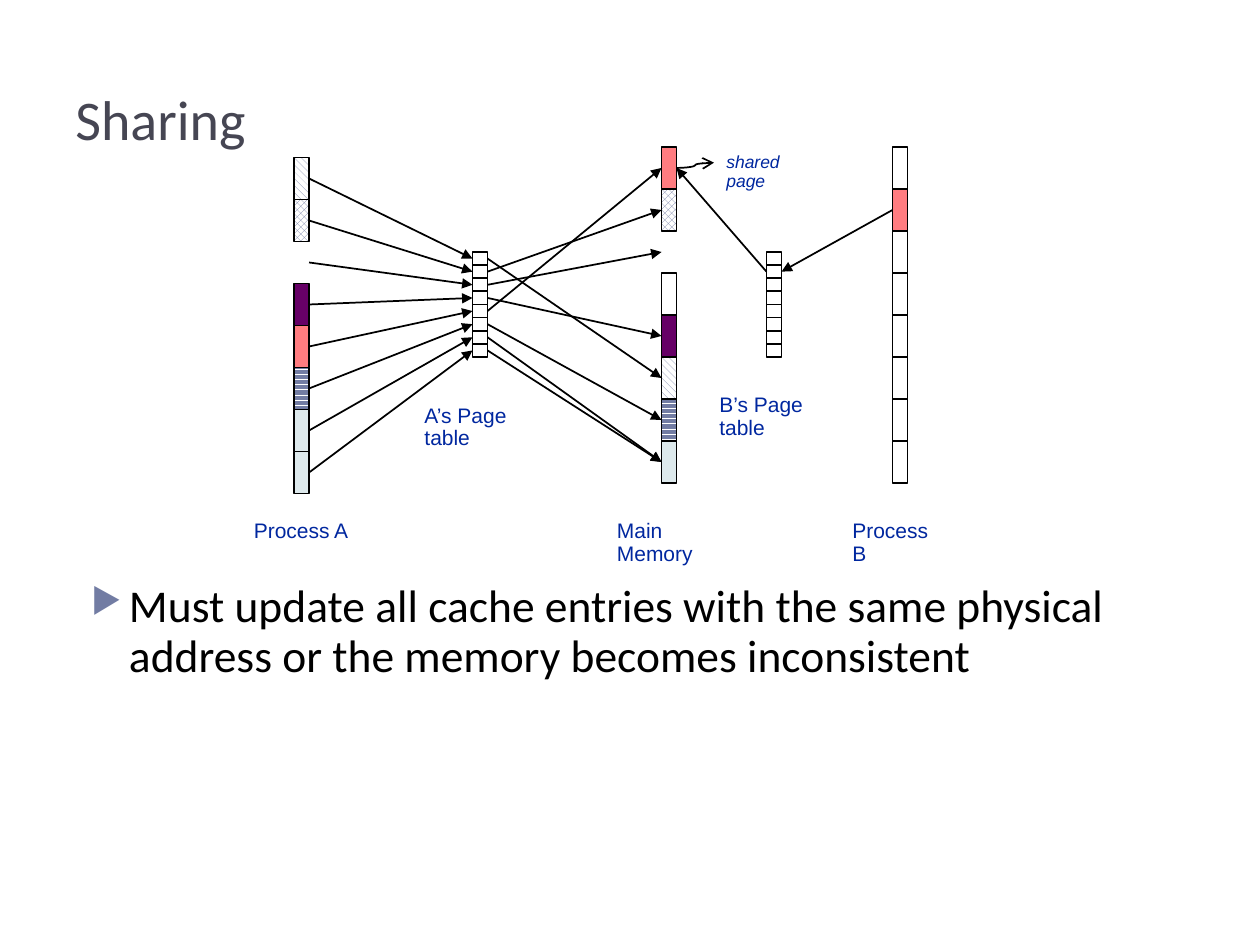
import pptx
import pptx.util
import pptx.dml.color
import pptx.enum.dml
import pptx.enum.shapes
import pptx.enum.text
import pptx.oxml
import pptx.oxml.ns

Pt = pptx.util.Pt
RGBColor = pptx.dml.color.RGBColor
PATTERN = pptx.enum.dml.MSO_PATTERN
CONNECTOR = pptx.enum.shapes.MSO_CONNECTOR
ANCHOR = pptx.enum.text.MSO_ANCHOR

BLACK = RGBColor(0x00, 0x00, 0x00)
WHITE = RGBColor(0xFF, 0xFF, 0xFF)
SLATE = RGBColor(0x46, 0x46, 0x53)
STEEL = RGBColor(0x72, 0x7C, 0xA3)
PURPLE = RGBColor(0x66, 0x00, 0x66)
CORAL = RGBColor(0xFF, 0x7C, 0x80)
MIST = RGBColor(0xDD, 0xE9, 0xEC)
NAVY = RGBColor(0x00, 0x27, 0x9F)

STRIPES = PATTERN.WIDE_DOWNWARD_DIAGONAL
DIAMONDS = PATTERN.SOLID_DIAMOND
BARS = PATTERN.DARK_HORIZONTAL

SLOT_WIDTH = 8.6
PAGE_HEIGHT = 24
ENTRY_HEIGHT = 7.5
PROCESS_A = [STRIPES, DIAMONDS, None, PURPLE, CORAL, BARS, MIST, MIST]
MEMORY = [CORAL, DIAMONDS, None, WHITE, PURPLE, STRIPES, BARS, MIST]
PROCESS_B = [WHITE, CORAL] + [WHITE] * 6
PAGE_TABLE = [WHITE] * 8
FRAME_OF_ENTRY = [5, 1, 2, 4, 0, 6, 7, 7]

TITLE_FORMAT = {"name": "Calibri", "size": Pt(32)}
BODY_FORMAT = {"name": "Calibri", "size": Pt(26)}
LABEL_FORMAT = {"name": "Arial", "size": Pt(12)}
NOTE_FORMAT = {"name": "Arial", "size": Pt(10), "italic": True}


def add_text(page, box, text, font_format, color, anchor=ANCHOR.TOP, spacing=None, bullet=None):
    frame = page.shapes.add_textbox(*map(Pt, box)).text_frame
    frame.word_wrap = True
    frame.vertical_anchor = anchor
    para = frame.paragraphs[0]
    para.line_spacing = spacing
    if bullet:
        add_bullet(para, bullet)
    span = para.add_run()
    span.text = text
    for key, value in font_format.items():
        setattr(span.font, key, value)
    span.font.color.rgb = color


def add_bullet(para, symbol):
    props = para._p.get_or_add_pPr()
    indent = Pt(21.6)
    props.set("marL", str(indent))
    props.set("indent", str(-indent))
    color = pptx.oxml.ns.nsdecls("a")
    for xml in (
        f'<a:buClr {color}><a:srgbClr val="{STEEL}"/></a:buClr>',
        f'<a:buSzPct {color} val="76000"/>',
        f'<a:buChar {color} char="{symbol}"/>',
    ):
        props.append(pptx.oxml.parse_xml(xml))


def add_column(shapes, left, top, height, fills):
    for index, paint in enumerate(fills):
        if paint is None:
            continue
        slot = shapes.add_shape(
            pptx.enum.shapes.MSO_SHAPE.RECTANGLE,
            Pt(left), Pt(top + index * height), Pt(SLOT_WIDTH), Pt(height),
        )
        slot.shadow.inherit = False
        if isinstance(paint, RGBColor):
            slot.fill.solid()
            slot.fill.fore_color.rgb = paint
        else:
            slot.fill.patterned()
            slot.fill.pattern = paint
            slot.fill.fore_color.rgb = STEEL
            slot.fill.back_color.rgb = WHITE
        slot.line.color.rgb = BLACK
        slot.line.width = Pt(1)
    return [top + (index + 0.5) * height for index in range(len(fills))]


def add_arrow(page, start, end, kind=CONNECTOR.STRAIGHT, head="triangle"):
    arrow = page.shapes.add_connector(kind, *map(Pt, (*start, *end)))
    arrow.line.color.rgb = BLACK
    arrow.line.width = Pt(1)
    names = pptx.oxml.ns.nsdecls("a")
    arrow.line._get_or_add_ln().append(
        pptx.oxml.parse_xml(f'<a:tailEnd {names} type="{head}"/>'))
    arrow._element.spPr.append(pptx.oxml.parse_xml(f"<a:effectLst {names}/>"))


def add_diagram(page, left, top):
    process_a, table_a, memory, table_b, process_b = (
        left + offset for offset in (0, 102, 210, 270, 342))
    pages_a = add_column(page.shapes, process_a, top + 6, PAGE_HEIGHT, PROCESS_A)
    frames = add_column(page.shapes, memory, top, PAGE_HEIGHT, MEMORY)
    pages_b = add_column(page.shapes, process_b, top, PAGE_HEIGHT, PROCESS_B)
    entries, _ = (
        add_column(page.shapes.add_group_shape().shapes, side, top + 60, ENTRY_HEIGHT, PAGE_TABLE)
        for side in (table_a, table_b))

    for source, entry, frame in zip(pages_a, entries, FRAME_OF_ENTRY):
        add_arrow(page, (process_a + SLOT_WIDTH, source), (table_a, entry))
        add_arrow(page, (table_a + SLOT_WIDTH, entry), (memory, frames[frame]))
    shared = (memory + SLOT_WIDTH, frames[0])
    add_arrow(page, (process_b, pages_b[1]), (table_b + SLOT_WIDTH, entries[1]))
    add_arrow(page, (table_b, entries[1]), shared)
    add_arrow(page, shared, (left + 240, top + 9), CONNECTOR.CURVE, "arrow")

    for text, x, y, width, font_format in (
        ("Process A", -30, 210, 72, LABEL_FORMAT),
        ("Process B", 312, 210, 64, LABEL_FORMAT),
        ("A’s Page table", 67.5, 144, 80, LABEL_FORMAT),
        ("B’s Page table", 236, 138, 80, LABEL_FORMAT),
        ("Main Memory", 177.5, 210, 72, LABEL_FORMAT),
        ("shared page", 240, 0, 60, NOTE_FORMAT),
    ):
        add_text(page, (left + x, top + y, width, 36), text, font_format, NAVY, spacing=0.9)


def main():
    deck = pptx.Presentation()
    deck.slide_width = Pt(720)
    deck.slide_height = Pt(540)
    page = deck.slides.add_slide(deck.slide_layouts[6])
    add_text(page, (36, 12, 648, 78), "Sharing", TITLE_FORMAT, SLATE, anchor=ANCHOR.BOTTOM)
    add_text(
        page, (45, 330, 630, 144),
        "Must update all cache entries with the same physical address "
        "or the memory becomes inconsistent",
        BODY_FORMAT, BLACK, spacing=0.9, bullet="▶")
    add_diagram(page, 168, 84)
    deck.save("out.pptx")


if __name__ == "__main__":
    main()
